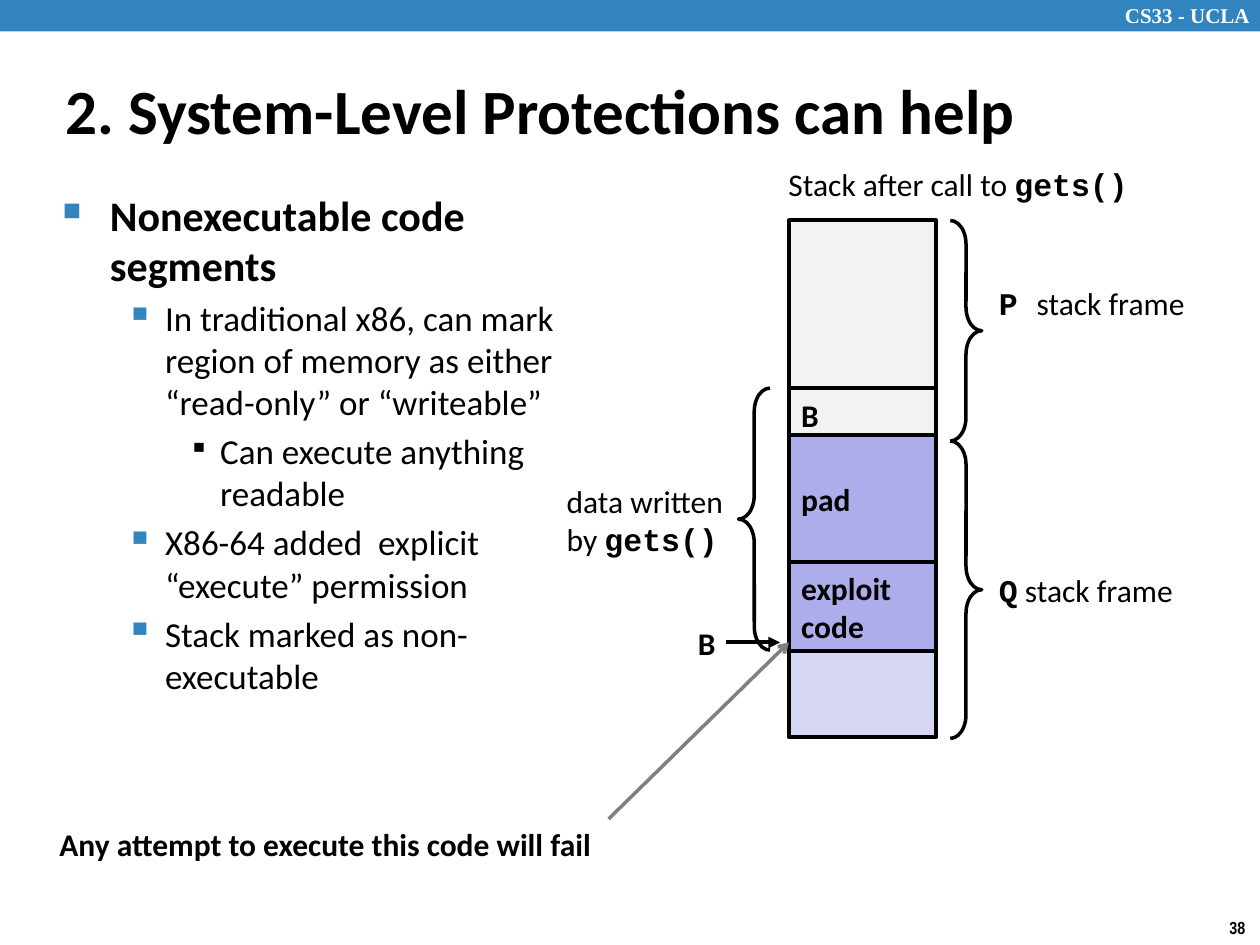
import pptx
import pptx.util
import pptx.dml.color
import pptx.enum.shapes
import pptx.enum.text
import pptx.oxml.ns
from lxml import etree

Pt = pptx.util.Pt
SHAPE = pptx.enum.shapes.MSO_SHAPE
TOP = pptx.enum.text.MSO_ANCHOR.TOP
MIDDLE = pptx.enum.text.MSO_ANCHOR.MIDDLE
LEFT = pptx.enum.text.PP_ALIGN.LEFT
RIGHT = pptx.enum.text.PP_ALIGN.RIGHT
qn = pptx.oxml.ns.qn

COLORS = {"bar": "3284BF", "black": "000000", "white": "FFFFFF", "gray": "808080",
          "caller": "F2F2F2", "written": "ADADEB", "callee": "D6D6F5"}

# A run is (text, font, bold)
CALL = ("gets()", "Courier New", True)

BULLETS = [  # level, text
    (0, "Nonexecutable code segments"),
    (1, "In traditional x86, can mark region of memory as either “read-only” or “writeable”"),
    (2, "Can execute anything readable"),
    (1, "X86-64 added  explicit “execute” permission"),
    (1, "Stack marked as non-executable"),
]
LEVELS = [  # margin, hanging indent, size, bold, space before, bullet, its color, its percent
    (27, 27, 24, True, 0, "■", "bar", 60),
    (58.5, 22.5, 20, False, 4, "▪", "bar", 110),
    (90, 18, 20, False, 4, "▪", "black", 80),
]

STACK_LEFT, STACK_WIDTH = 450.75, 84
STACK = [  # lines, top, height, fill
    (["B"], 221.75, 30.25, "caller"),
    ([], 126, 95.75, "caller"),
    ([], 372.25, 49, "callee"),
    (["exploit", "code"], 321.25, 51, "written"),
    (["pad"], 248.5, 72.75, "written"),
]
BRACES = [  # shape, left, top, bottom
    (SHAPE.RIGHT_BRACE, 543, 126, 252),
    (SHAPE.RIGHT_BRACE, 543, 252, 422),
    (SHAPE.LEFT_BRACE, 422, 221.75, 371.5),
]
LABELS = [  # left, top, width, height, paragraphs of runs, wrap
    (443.5, 90.75, 211, 28.75, [[("Stack after call to ", "Calibri", False), CALL]], False),
    (563.75, 159, 122.5, 28.75,
     [[("P ", "Courier New", True), ("stack frame", "Calibri", False)]], False),
    (563.75, 322.5, 116, 28.75,
     [[("Q", "Courier New", True), (" stack frame", "Calibri", False)]], False),
    (316.75, 271.5, 108, 51,
     [[("data written", "Calibri", False)], [("by ", "Calibri", False), CALL]], True),
]


def rgb(name):
    return pptx.dml.color.RGBColor.from_string(COLORS[name])


def add_run(p, text, font="Calibri", bold=True, size=18, color="black"):
    r = p.add_run()
    r.text = text
    r.font.name, r.font.size, r.font.bold = font, Pt(size), bold
    r.font.color.rgb = rgb(color)


def fill_text(s, paragraphs, wrap=True, anchor=MIDDLE, align=LEFT, **style):
    tf = s.text_frame
    tf.word_wrap, tf.vertical_anchor = wrap, anchor
    for i, runs in enumerate(paragraphs):
        p = tf.add_paragraph() if i else tf.paragraphs[0]
        p.alignment = align
        for run in runs:
            add_run(p, *run, **style)


def add_text(slide, left, top, width, height, paragraphs, **options):
    s = slide.shapes.add_textbox(Pt(left), Pt(top), Pt(width), Pt(height))
    fill_text(s, paragraphs, **options)
    return s


def add_shape(slide, kind, left, top, width, height, fill=None, line=None):
    s = slide.shapes.add_shape(kind, Pt(left), Pt(top), Pt(width), Pt(height))
    s.shadow.inherit = False
    if fill:
        s.fill.solid()
        s.fill.fore_color.rgb = rgb(fill)
    else:
        s.fill.background()
    if line:
        s.line.color.rgb, s.line.width = rgb("black"), Pt(line)
    else:
        s.line.fill.background()
    return s


def add_arrow(slide, x1, y1, x2, y2, color, width, head):
    s = slide.shapes.add_connector(pptx.enum.shapes.MSO_CONNECTOR.STRAIGHT,
                                   Pt(x1), Pt(y1), Pt(x2), Pt(y2))
    s.line.color.rgb, s.line.width = rgb(color), Pt(width)
    etree.SubElement(s.line._get_or_add_ln(), qn("a:tailEnd"), type=head)
    etree.SubElement(s._element.spPr, qn("a:effectLst"))
    return s


def add_bullets(slide):
    s = slide.shapes.add_textbox(Pt(28.75), Pt(104.5), Pt(319), Pt(411))
    tf = s.text_frame
    tf.word_wrap = True
    for i, (level, text) in enumerate(BULLETS):
        margin, hang, size, bold, before, char, color, percent = LEVELS[level]
        p = tf.add_paragraph() if i else tf.paragraphs[0]
        p.level, p.space_before = level, Pt(before)
        pPr = p._p.get_or_add_pPr()
        pPr.set("marL", str(Pt(margin)))
        pPr.set("indent", str(-Pt(hang)))
        clr = etree.SubElement(pPr, qn("a:buClr"))
        etree.SubElement(clr, qn("a:srgbClr"), val=COLORS[color])
        etree.SubElement(pPr, qn("a:buSzPct"), val=str(percent * 1000))
        etree.SubElement(pPr, qn("a:buChar"), char=char)
        add_run(p, text, bold=bold, size=size)


def main():
    prs = pptx.Presentation()
    prs.slide_width, prs.slide_height = Pt(720), Pt(540)
    slide = prs.slides.add_slide(prs.slide_layouts[6])

    add_shape(slide, SHAPE.RECTANGLE, 0, 0, 720, 18, "bar")
    add_text(slide, 635.75, -2, 89.25, 21.75, [[("CS33 - UCLA", "Times New Roman")]],
             anchor=TOP, size=12, color="white")
    add_text(slide, 695.5, 520.5, 24.5, 19.5, [[("38", "Arial Narrow")]],
             wrap=False, anchor=TOP, size=10)
    add_text(slide, 30.25, 41.75, 635.75, 41.75,
             [[("2. System-Level Protections can help",)]], size=36)
    add_bullets(slide)

    for lines, top, height, fill in STACK:
        s = add_shape(slide, SHAPE.RECTANGLE, STACK_LEFT, top, STACK_WIDTH, height, fill, 2.25)
        fill_text(s, [[(line,)] for line in lines])
    for left, top, width, height, paragraphs, wrap in LABELS:
        add_text(slide, left, top, width, height, paragraphs, wrap=wrap)
    for kind, left, top, bottom in BRACES:
        s = add_shape(slide, kind, left, top, 18, bottom - top, line=2)
        s.adjustments[0], s.adjustments[1] = 0.75, 0.5

    address = add_text(slide, 391.75, 352.75, 23, 28.75, [[("B",)]], wrap=False)
    arrow = add_arrow(slide, 414.75, 367.13, 445.75, 367.13, "black", 2.25, "triangle")
    arrow.begin_connect(address, 3)
    add_arrow(slide, 347.75, 468, STACK_LEFT, 367.13, "gray", 2, "arrow")
    add_text(slide, 21, 468, 324, 28.75, [[("Any attempt to execute this code will fail",)]],
             wrap=False, anchor=TOP, align=RIGHT)
    prs.save("out.pptx")


if __name__ == "__main__":
    main()
